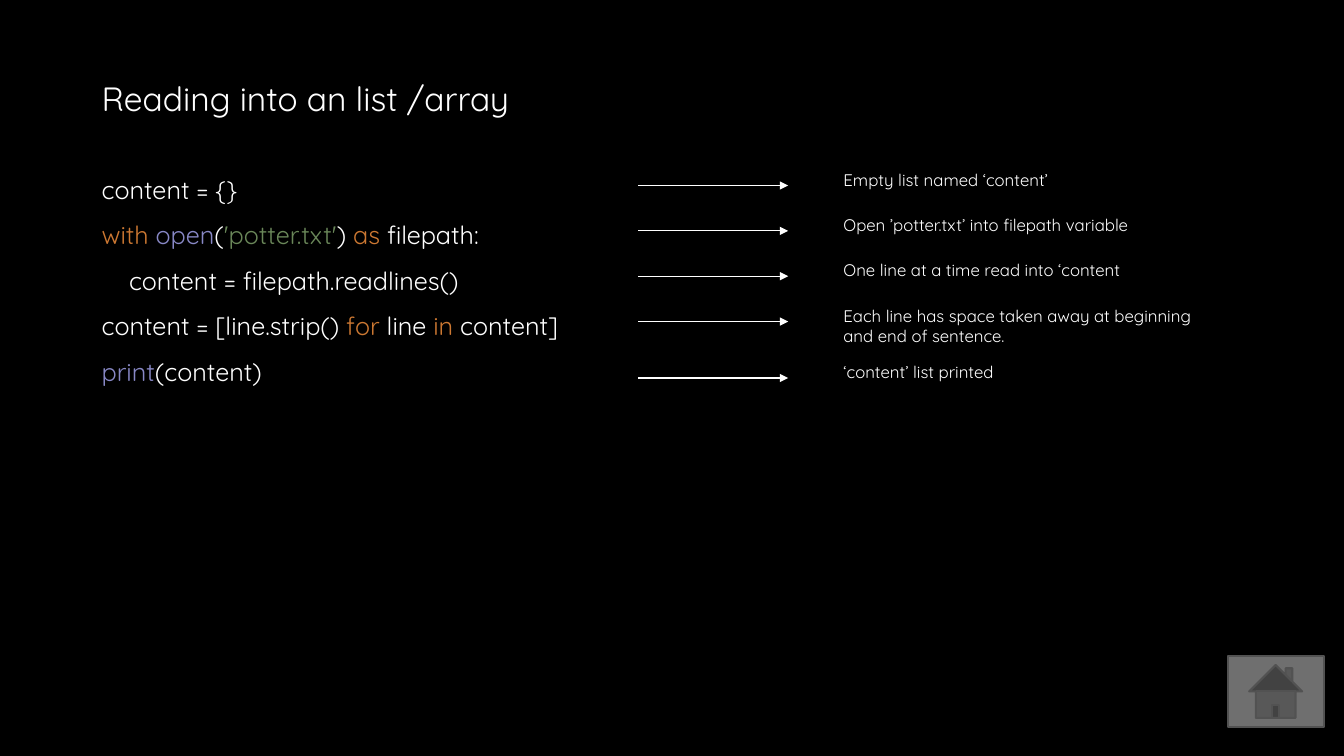
from lxml import etree
from pptx import Presentation
from pptx.dml.color import RGBColor
from pptx.enum import shapes, text
from pptx.oxml.ns import qn
from pptx.util import Pt

BLACK = RGBColor(0x00, 0x00, 0x00)
WHITE = RGBColor(0xFF, 0xFF, 0xFF)
KEYWORD = RGBColor(0xCC, 0x78, 0x32)
BUILTIN = RGBColor(0x88, 0x88, 0xC6)
STRING = RGBColor(0x6A, 0x87, 0x59)
BUTTON_FILL = RGBColor(0x6F, 0x6F, 0x6F)
BUTTON_LINE = RGBColor(0x52, 0x52, 0x52)
FONT = "Quicksand"

TITLE = "Reading into an list /array"
CODE = [
    [("content = {}", WHITE)],
    [("with ", KEYWORD), ("open", BUILTIN), ("(", WHITE), ("'potter.txt'", STRING),
     (") ", WHITE), ("as ", KEYWORD), ("filepath:", WHITE)],
    [("    content = filepath.readlines()", WHITE)],
    [("content = [line.strip() ", WHITE), ("for ", KEYWORD), ("line ", WHITE),
     ("in ", KEYWORD), ("content]", WHITE)],
    [("print", BUILTIN), ("(content)", WHITE)],
]
# Lines of each note and the width of its box
NOTES = [
    (["Empty list named ‘content’"], 173.5),
    (["Open ’potter.txt’ into filepath variable"], 238.3),
    (["One line at a time read into ‘content"], 231.8),
    (["Each line has space taken away at beginning", "and end of sentence."], 285.1),
    (["‘content’ list printed"], 132.5),
]

LEFT = 65.5
ARROW_START, ARROW_END = 455.8, 563
NOTE_LEFT, NOTE_RISE = 595.4, 15
FIRST_ARROW, ROW_PITCH = 132.5, 32.4
NOTE_LINE, EXTRA_LINE_GAP = 14.5, 7.9


def add_text(s, box, size, paragraphs, wrap=False, spacing=None):
    """Add a text box; a paragraph is a list of lines, a line a list of (text, colour)."""
    tf = s.shapes.add_textbox(*map(Pt, box)).text_frame
    tf.word_wrap = wrap
    tf.auto_size = text.MSO_AUTO_SIZE.SHAPE_TO_FIT_TEXT
    for i, lines in enumerate(paragraphs):
        p = tf.add_paragraph() if i else tf.paragraphs[0]
        p.line_spacing = spacing
        for j, line in enumerate(lines):
            if j:
                p.add_line_break()
            for words, colour in line:
                r = p.add_run()
                r.text = words
                for name, value in {"name": FONT, "size": Pt(size)}.items():
                    setattr(r.font, name, value)
                r.font.color.rgb = colour


def add_arrow(s, y):
    arrow = s.shapes.add_connector(shapes.MSO_CONNECTOR.STRAIGHT,
                                   Pt(ARROW_START), Pt(y), Pt(ARROW_END), Pt(y))
    arrow.line.color.rgb = WHITE
    arrow.line.width = Pt(0.75)
    sp_pr = arrow._element.spPr
    etree.SubElement(sp_pr.find(qn("a:ln")), qn("a:tailEnd"), type="triangle")
    etree.SubElement(sp_pr, qn("a:effectLst"))


def add_home_button(s):
    home = s.shapes.add_shape(shapes.MSO_SHAPE.ACTION_BUTTON_HOME,
                              Pt(877), Pt(468.7), Pt(68.4), Pt(50.4))
    home.shadow.inherit = False
    home.fill.solid()
    home.fill.fore_color.rgb = BUTTON_FILL
    home.line.color.rgb = BUTTON_LINE
    home.line.width = Pt(1.5)


def main():
    prs = Presentation()
    prs.slide_width, prs.slide_height = Pt(960), Pt(540)
    s = prs.slides.add_slide(prs.slide_layouts[6])
    s.background.fill.solid()
    s.background.fill.fore_color.rgb = BLACK

    add_text(s, (LEFT, 51.8, 314.6, 36.3), 24, [[[(TITLE, WHITE)]]])
    add_text(s, (LEFT, 110.2, 357.8, 167), 18, [CODE], wrap=True, spacing=1.5)

    y = FIRST_ARROW
    for lines, width in NOTES:
        add_arrow(s, y)
        extra = len(lines) - 1
        box = (NOTE_LEFT, y - NOTE_RISE, width, 21.8 + extra * NOTE_LINE)
        add_text(s, box, 12, [[[(line, WHITE)]] for line in lines])
        y += ROW_PITCH + extra * EXTRA_LINE_GAP

    add_home_button(s)
    prs.save("out.pptx")


if __name__ == "__main__":
    main()
